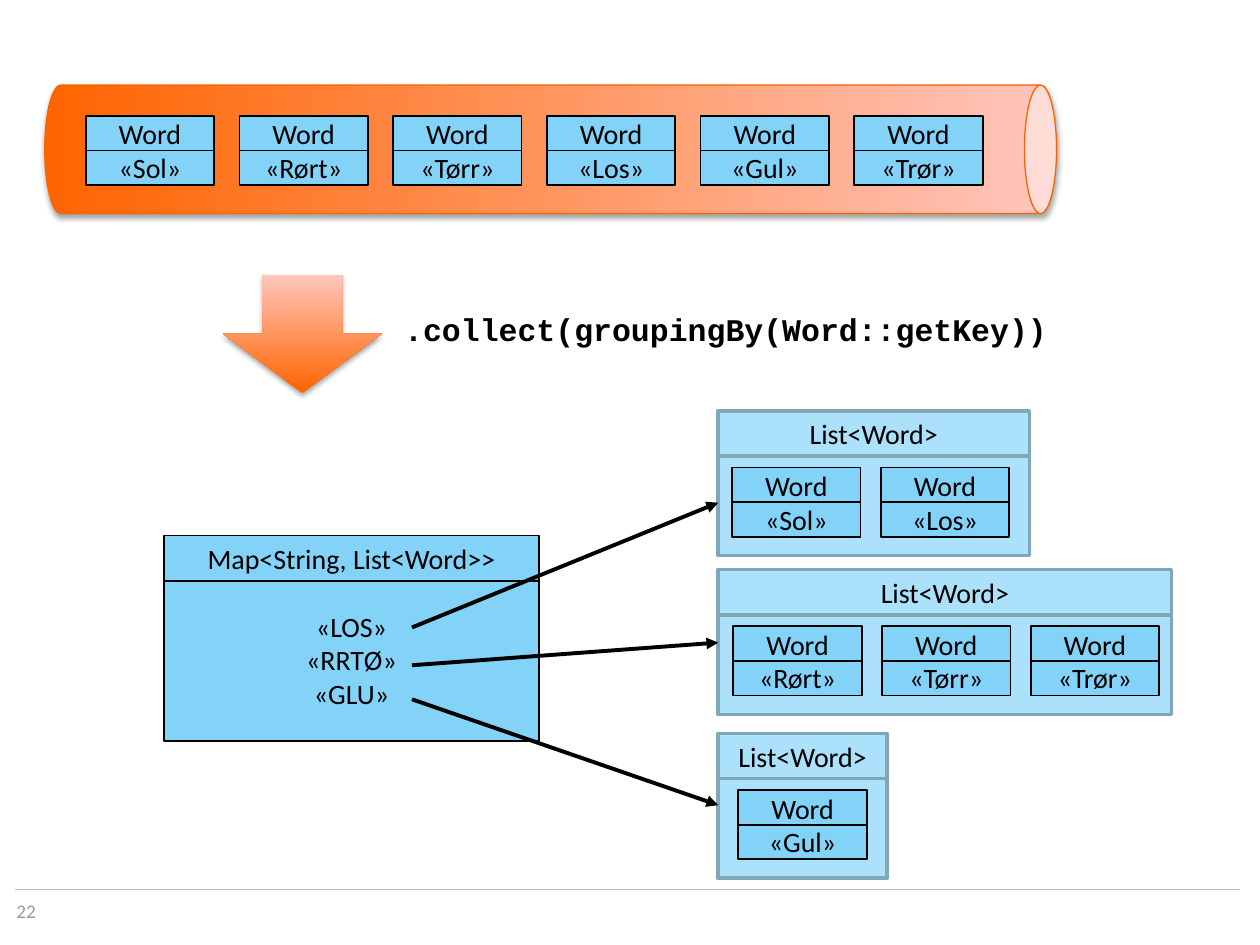
import pptx
import pptx.util
import pptx.dml.color
import pptx.enum.shapes
import pptx.enum.text
import pptx.oxml
import pptx.oxml.ns
from pptx.util import Inches

RGBColor = pptx.dml.color.RGBColor
MSO_SHAPE = pptx.enum.shapes.MSO_SHAPE
ALIGN = pptx.enum.text.PP_ALIGN
ANCHOR = pptx.enum.text.MSO_ANCHOR

BLACK = RGBColor(0x00, 0x00, 0x00)
CARD_BLUE = RGBColor(0x83, 0xD3, 0xF8)
LIST_BLUE = RGBColor(0xAB, 0xE1, 0xFA)
LIST_EDGE = RGBColor(0x7F, 0xA6, 0xB9)
ORANGE = RGBColor(0xFF, 0x64, 0x00)
PINK = RGBColor(0xFF, 0xC6, 0xBD)
PIPE_EDGE = RGBColor(0xF9, 0x62, 0x00)
RULE_GREY = RGBColor(0xBC, 0xBE, 0xC0)
NUMBER_GREY = RGBColor(0x9B, 0x9B, 0x9B)

CARD_W, CARD_H = 1.02, 0.55
LIST_X, LIST_H, HEADER_H = 5.7, 1.15, 0.36
STREAM_WORDS = ["Sol", "Rørt", "Tørr", "Los", "Gul", "Trør"]
GROUPS = [
    (3.26, 2.47, 0.11, ["Sol", "Los"]),
    (4.52, 3.6, 0.12, ["Rørt", "Tørr", "Trør"]),
    (5.82, 1.34, 0.16, ["Gul"]),
]
KEYS = ["«LOS»", "«RRTØ»", "«GLU»"]
ARROWS = [(4.98, 3.99), (5.28, 5.1), (5.55, 6.39)]

BODY = {"name": "Calibri", "size": pptx.util.Pt(16), "bold": False}
CODE = {"name": "Courier New", "size": pptx.util.Pt(18), "bold": True}
SMALL = {"name": "Calibri", "size": pptx.util.Pt(11), "bold": False}

NS = pptx.oxml.ns.nsdecls("a")
NO_EFFECTS = f"<a:effectLst {NS}/>"
SHADOW = (f'<a:effectLst {NS}><a:outerShdw blurRad="40000" dist="23000" '
          'dir="5400000" rotWithShape="0"><a:srgbClr val="000000">'
          '<a:alpha val="35000"/></a:srgbClr></a:outerShdw></a:effectLst>')
ARROWHEAD = f'<a:tailEnd {NS} type="triangle"/>'


def write_text(tf, lines, font, color=BLACK, align=ALIGN.CENTER):
    for i, line in enumerate(lines):
        p = tf.paragraphs[0] if i == 0 else tf.add_paragraph()
        p.alignment = align
        r = p.add_run()
        r.text = line
        for name, value in font.items():
            setattr(r.font, name, value)
        r.font.color.rgb = color


def add_line(s, start, end, color, width, arrow=False):
    ends = [Inches(v) for v in (*start, *end)]
    sp = s.shapes.add_connector(pptx.enum.shapes.MSO_CONNECTOR.STRAIGHT, *ends)
    sp.line.color.rgb = color
    sp.line.width = pptx.util.Pt(width)
    if arrow:
        sp.line._get_or_add_ln().append(pptx.oxml.parse_xml(ARROWHEAD))
    sp._element.spPr.append(pptx.oxml.parse_xml(NO_EFFECTS))


def add_box(s, x, y, w, h, lines, fill, edge, width, split, anchor):
    sp = s.shapes.add_shape(MSO_SHAPE.RECTANGLE, *map(Inches, (x, y, w, h)))
    sp.shadow.inherit = False
    sp.fill.solid()
    sp.fill.fore_color.rgb = fill
    sp.line.color.rgb = edge
    sp.line.width = pptx.util.Pt(width)
    tf = sp.text_frame
    tf.word_wrap = True
    tf.vertical_anchor = anchor
    write_text(tf, lines, BODY)
    add_line(s, (x, y + split), (x + w, y + split), edge, width)
    return tf


def add_cards(s, x, y, pitch, words):
    for i, word in enumerate(words):
        add_box(s, x + i * pitch, y, CARD_W, CARD_H, ["Word", f"«{word}»"],
                CARD_BLUE, BLACK, 1, CARD_H / 2, ANCHOR.MIDDLE)


def add_list(s, y, w, inset, words):
    add_box(s, LIST_X, y, w, LIST_H, ["List<Word>"],
            LIST_BLUE, LIST_EDGE, 2, HEADER_H, ANCHOR.TOP)
    add_cards(s, LIST_X + inset, y + 0.45, 1.18, words)


def add_gradient_shape(s, kind, x, y, w, h):
    sp = s.shapes.add_shape(kind, *map(Inches, (x, y, w, h)))
    sp.fill.gradient()
    sp.fill.gradient_angle = 90
    for stop, color, position in zip(sp.fill.gradient_stops, (ORANGE, PINK), (0, 1)):
        stop.color.rgb = color
        stop.position = position
    sp.line.fill.background()
    sp._element.spPr.append(pptx.oxml.parse_xml(SHADOW))
    return sp


def add_label(s, x, y, w, h, text, font, color, inset=None):
    tf = s.shapes.add_textbox(*map(Inches, (x, y, w, h))).text_frame
    tf.word_wrap = False
    if inset is not None:
        for side in ("left", "top", "right", "bottom"):
            setattr(tf, f"margin_{side}", Inches(inset))
    write_text(tf, [text], font, color, ALIGN.LEFT)


def main():
    prs = pptx.Presentation()
    prs.slide_width, prs.slide_height = Inches(10), Inches(7.5)
    s = prs.slides.add_slide(prs.slide_layouts[6])

    add_line(s, (0.12, 7.06), (9.84, 7.06), RULE_GREY, 0.75)
    add_label(s, 0.13, 7.14, 0.79, 0.2, "22", SMALL, NUMBER_GREY, 0)

    pipe = add_gradient_shape(s, MSO_SHAPE.CAN, 3.86, -2.83, 1.02, 8.03)
    pipe.rotation = 90
    pipe.line.color.rgb = PIPE_EDGE
    pipe.line.width = pptx.util.Pt(0.75)
    add_cards(s, 0.68, 0.92, 1.22, STREAM_WORDS)

    add_gradient_shape(s, MSO_SHAPE.DOWN_ARROW, 1.77, 2.18, 1.26, 0.94)
    add_label(s, 3.11, 2.41, 5.33, 0.4, ".collect(groupingBy(Word::getKey))", CODE, BLACK)

    for group in GROUPS:
        add_list(s, *group)
    tf = add_box(s, 1.3, 4.25, 2.98, 1.63, ["Map<String, List<Word>>", *KEYS],
                 CARD_BLUE, BLACK, 1, HEADER_H, ANCHOR.TOP)
    tf.paragraphs[1].space_before = pptx.util.Pt(19.5)
    for start_y, end_y in ARROWS:
        add_line(s, (3.27, start_y), (LIST_X, end_y), BLACK, 2.25, arrow=True)

    prs.save("out.pptx")


if __name__ == "__main__":
    main()
